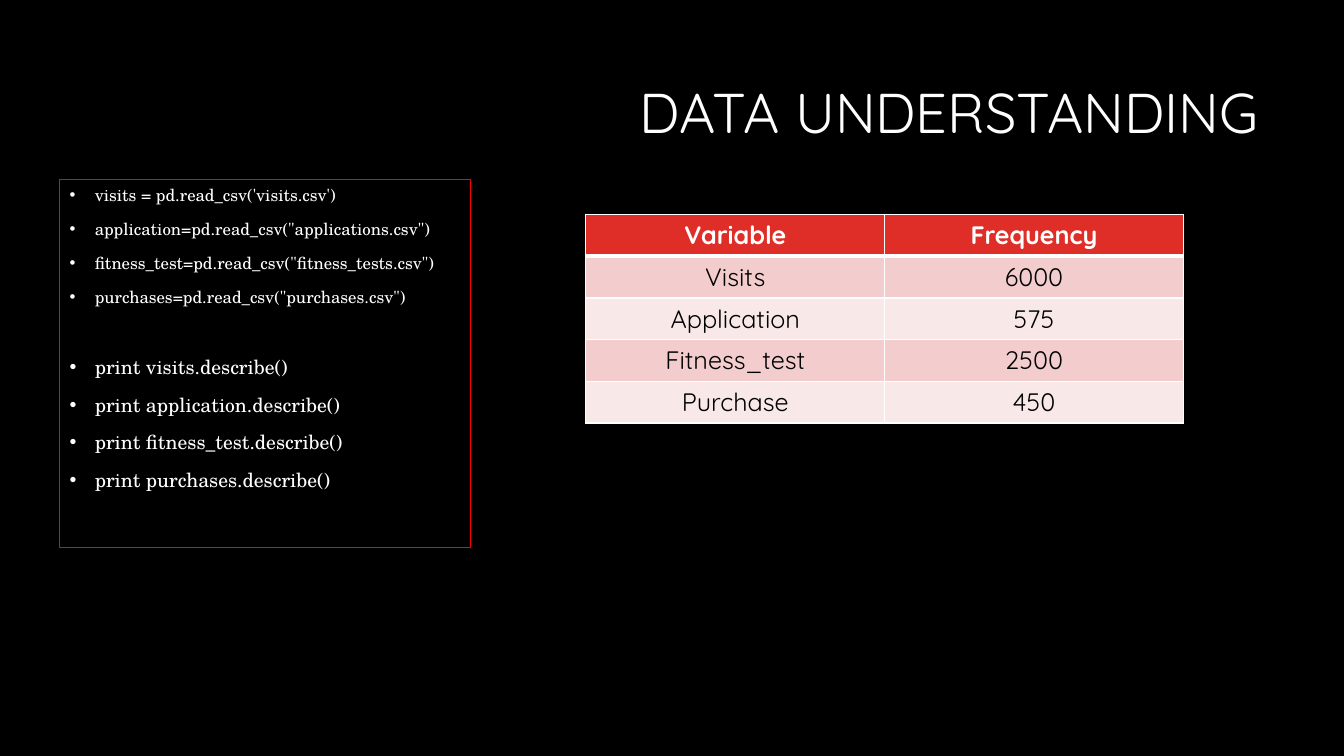
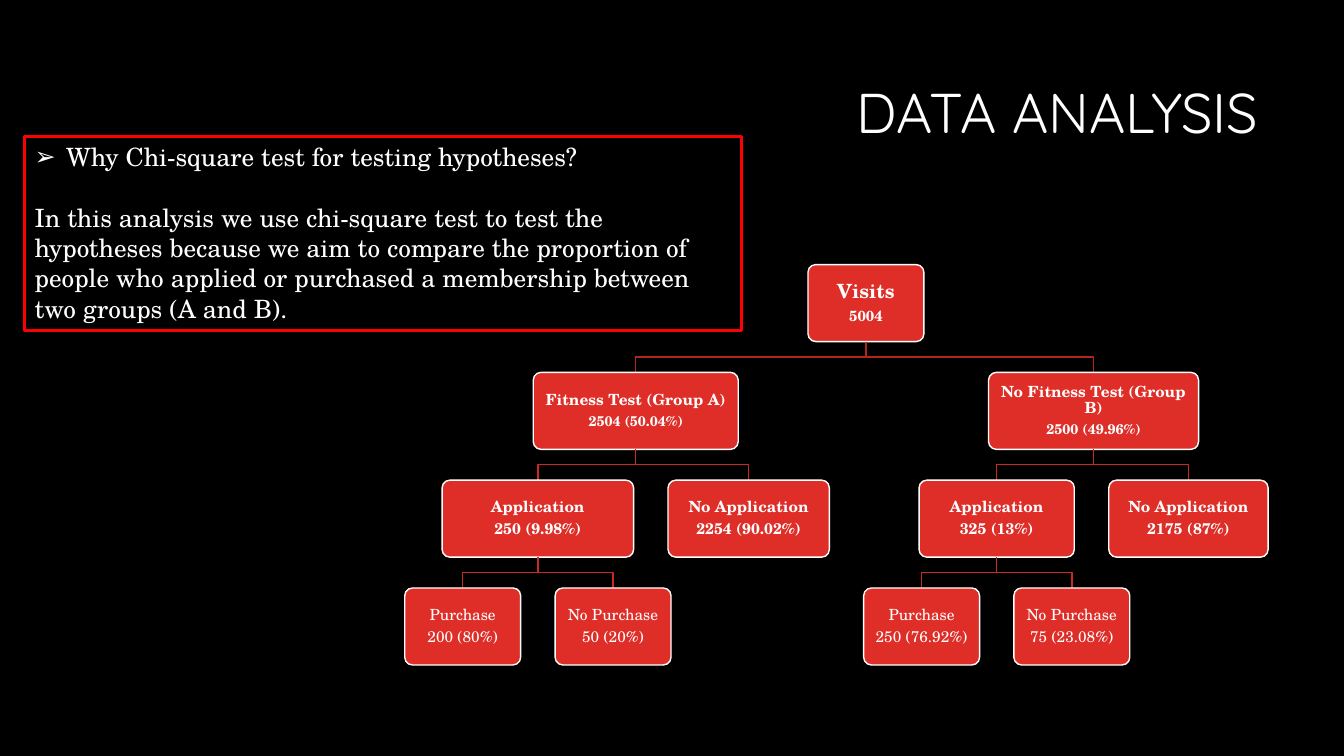
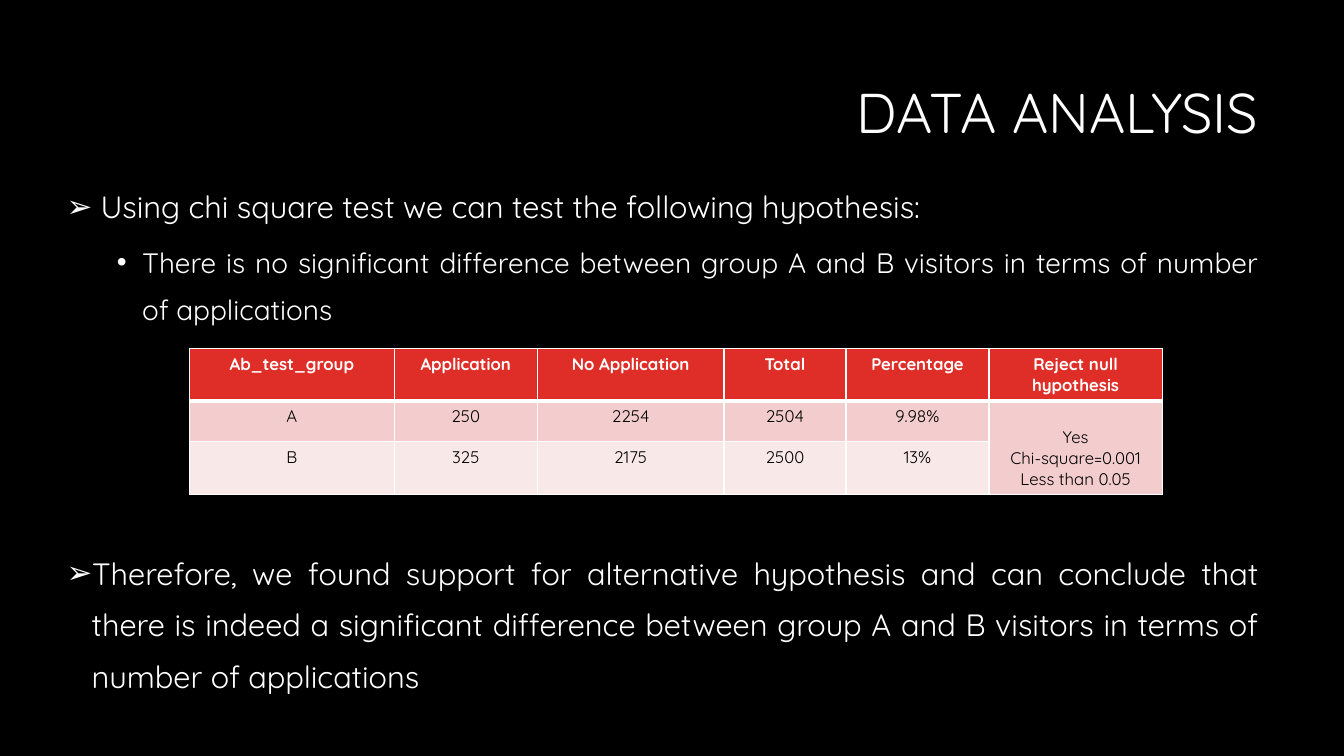
from dataclasses import dataclass

from lxml import etree
from pptx import Presentation
from pptx.dml.color import RGBColor
from pptx.enum.shapes import MSO_SHAPE
from pptx.enum.text import MSO_ANCHOR, MSO_AUTO_SIZE, PP_ALIGN
from pptx.oxml.ns import qn
from pptx.util import Pt

LEFT, CENTER, RIGHT, JUSTIFY = PP_ALIGN.LEFT, PP_ALIGN.CENTER, PP_ALIGN.RIGHT, PP_ALIGN.JUSTIFY
TOP, MIDDLE = MSO_ANCHOR.TOP, MSO_ANCHOR.MIDDLE
NO_FIT, GROW = MSO_AUTO_SIZE.NONE, MSO_AUTO_SIZE.SHAPE_TO_FIT_TEXT
RECTANGLE, ROUNDED = MSO_SHAPE.RECTANGLE, MSO_SHAPE.ROUNDED_RECTANGLE

BLACK = RGBColor(0x00, 0x00, 0x00)
WHITE = RGBColor(0xFF, 0xFF, 0xFF)
FRAME_RED = RGBColor(0xFF, 0x00, 0x00)
ACCENT = RGBColor(0xDF, 0x2E, 0x28)
BRANCH_DARK = RGBColor(0xB3, 0x25, 0x20)
BRANCH = RGBColor(0xCA, 0x2A, 0x24)
ROW_FILLS = (RGBColor(0xF3, 0xCD, 0xCD), RGBColor(0xF9, 0xE8, 0xE8))

SANS, SERIF = "Quicksand", "TeX Gyre Schola"
DOT, ARROW = "•", "➢"
CONTENT_LAYOUT, TITLE_LAYOUT = 1, 5

TREE_TOP, LEVEL_PITCH, NODE_HEIGHT = 189, 77, 55


@dataclass(frozen=True)
class Item:
    text: str
    size: float
    bullet: str = ""
    margin: float = 18
    hanging: float = 18
    before: float = 0
    level: int = 0


@dataclass(frozen=True)
class TreeLevel:
    label_size: float
    value_size: float
    bold: bool
    branch_color: RGBColor


@dataclass(frozen=True)
class Node:
    """A box of the tree; a parent is centred over its children."""
    label: str
    value: str
    width: float
    leaf_left: float = 0
    children: tuple["Node", ...] = ()

    @property
    def left(self) -> float:
        if not self.children:
            return self.leaf_left
        first, last = self.children[0], self.children[-1]
        return (first.left + last.left + last.width - self.width) / 2

    @property
    def center(self) -> float:
        return self.left + self.width / 2


TREE_LEVELS = (
    TreeLevel(14, 10.5, True, BRANCH_DARK),
    TreeLevel(11, 10, True, BRANCH),
    TreeLevel(11, 11, True, BRANCH),
    TreeLevel(11, 11, False, BRANCH),
)

VISIT_TREE = Node("Visits", "5004", 82.8, children=(
    Node("Fitness Test (Group A)", "2504 (50.04%)", 146.4, children=(
        Node("Application", "250 (9.98%)", 136.8, children=(
            Node("Purchase", "200 (80%)", 82.8, 289.1),
            Node("No Purchase", "50 (20%)", 82.8, 396.5))),
        Node("No Application", "2254 (90.02%)", 115.2, 477.2))),
    Node("No Fitness Test (Group B)", "2500 (49.96%)", 150, children=(
        Node("Application", "325 (13%)", 110.9, children=(
            Node("Purchase", "250 (76.92%)", 82.8, 616.9),
            Node("No Purchase", "75 (23.08%)", 82.8, 724.2))),
        Node("No Application", "2175 (87%)", 113.8, 792))),
))

READ_CALLS = (
    "visits = pd.read_csv('visits.csv')",
    'application=pd.read_csv("applications.csv")',
    'fitness_test=pd.read_csv("fitness_tests.csv")',
    'purchases=pd.read_csv("purchases.csv")',
)
DESCRIBE_CALLS = tuple(
    f"print {name}.describe()" for name in ("visits", "application", "fitness_test", "purchases"))


def place(shape, left: float, top: float, width: float, height: float) -> None:
    shape.left, shape.top, shape.width, shape.height = map(Pt, (left, top, width, height))


def style_runs(paragraph, font_name: str, size: float, color: RGBColor, bold: bool = False) -> None:
    for run in paragraph.runs:
        font = run.font
        font.name, font.size, font.bold = font_name, Pt(size), bold
        font.color.rgb = color


def add_titled_slide(prs, layout_index: int, title: str):
    slide = prs.slides.add_slide(prs.slide_layouts[layout_index])
    heading = slide.shapes.title
    place(heading, 186.8, 31.7, 719.3, 101.5)
    frame = heading.text_frame
    frame.text = title
    frame.vertical_anchor, frame.auto_size = MIDDLE, NO_FIT
    paragraph = frame.paragraphs[0]
    paragraph.alignment, paragraph.line_spacing = RIGHT, 0.9
    style_runs(paragraph, SANS, 40, WHITE)
    return slide


def set_bullet(paragraph, item: Item) -> None:
    properties = paragraph._p.get_or_add_pPr()
    properties.set("marL", str(Pt(item.margin)))
    properties.set("indent", str(-Pt(item.hanging)))
    etree.SubElement(properties, qn("a:buFont"), typeface="Arial")
    etree.SubElement(properties, qn("a:buChar"), char=item.bullet)


def write_items(frame, items: list[Item], font_name: str, alignment, spacing: float = 1.0) -> None:
    frame.text = "\n".join(item.text for item in items)
    frame.word_wrap, frame.vertical_anchor = True, TOP
    for paragraph, item in zip(frame.paragraphs, items):
        paragraph.level, paragraph.alignment = item.level, alignment
        paragraph.line_spacing = spacing
        paragraph.space_before, paragraph.space_after = Pt(item.before), Pt(0)
        if item.bullet:
            set_bullet(paragraph, item)
        style_runs(paragraph, font_name, item.size, WHITE)


def set_cell_borders(cell, top: float, bottom: float) -> None:
    properties = cell._tc.get_or_add_tcPr()
    for side, width in (("L", 1), ("R", 1), ("T", top), ("B", bottom)):
        line = etree.SubElement(properties, qn(f"a:ln{side}"), w=str(Pt(width)))
        fill = etree.SubElement(line, qn("a:solidFill"))
        etree.SubElement(fill, qn("a:srgbClr"), val=str(WHITE))


def add_data_table(slide, left: float, top: float, widths: list[float], heights: list[float],
                   rows: list[tuple[str, ...]], size: float):
    table = slide.shapes.add_table(len(rows), len(widths), Pt(left), Pt(top),
                                   Pt(sum(widths)), Pt(sum(heights))).table
    for column, width in zip(table.columns, widths):
        column.width = Pt(width)
    for row_index, (row, height, texts) in enumerate(zip(table.rows, heights, rows)):
        row.height = Pt(height)
        is_header = row_index == 0
        for cell, text in zip(row.cells, texts):
            set_cell_borders(cell, 3 if row_index == 1 else 1, 3 if is_header else 1)
            cell.fill.solid()
            cell.fill.fore_color.rgb = ACCENT if is_header else ROW_FILLS[(row_index - 1) % 2]
            cell.text = text
            for paragraph in cell.text_frame.paragraphs:
                paragraph.alignment = CENTER
                style_runs(paragraph, SANS, size, WHITE if is_header else BLACK, is_header)
    return table


def add_branch(slide, parent: Node, child: Node, bottom: float, color: RGBColor) -> None:
    child_top = bottom + LEVEL_PITCH - NODE_HEIGHT
    bend = (bottom + child_top) / 2
    corners = [(parent.center, bend), (child.center, bend), (child.center, child_top)]
    builder = slide.shapes.build_freeform(Pt(parent.center), Pt(bottom))
    builder.add_line_segments([(Pt(x), Pt(y)) for x, y in corners], close=False)
    branch = builder.convert_to_shape()
    branch.fill.background()
    branch.line.color.rgb, branch.line.width = color, Pt(1)
    branch.shadow.inherit = False


def add_tree(slide, node: Node, depth: int = 0) -> None:
    level = TREE_LEVELS[depth]
    top = TREE_TOP + depth * LEVEL_PITCH
    box = slide.shapes.add_shape(ROUNDED, Pt(node.left), Pt(top), Pt(node.width), Pt(NODE_HEIGHT))
    box.adjustments[0] = 0.1
    box.shadow.inherit = False
    box.fill.solid()
    box.fill.fore_color.rgb = ACCENT
    box.line.color.rgb, box.line.width = WHITE, Pt(1)
    frame = box.text_frame
    frame.text = f"{node.label}\n{node.value}"
    frame.word_wrap, frame.vertical_anchor = True, MIDDLE
    frame.margin_left = frame.margin_right = frame.margin_top = frame.margin_bottom = Pt(3.6)
    for paragraph, size in zip(frame.paragraphs, (level.label_size, level.value_size)):
        paragraph.alignment, paragraph.line_spacing = CENTER, 0.9
        paragraph.space_after = Pt(0.35 * size)
        style_runs(paragraph, SERIF, size, WHITE, level.bold)
    for child in node.children:
        add_branch(slide, node, child, top + NODE_HEIGHT, level.branch_color)
        add_tree(slide, child, depth + 1)


def build_understanding(prs) -> None:
    slide = add_titled_slide(prs, CONTENT_LAYOUT, "DATA UNDERSTANDING")
    code = slide.placeholders[1]
    place(code, 42.5, 128, 293.8, 263.2)
    code.line.color.rgb, code.line.width = FRAME_RED, Pt(0.75)
    items = [Item(call, 12, DOT, before=10) for call in READ_CALLS]
    items += [Item(call, 14, DOT, before=10 if index else 34.4)
              for index, call in enumerate(DESCRIBE_CALLS)]
    write_items(code.text_frame, items, SERIF, LEFT)
    code.text_frame.auto_size = NO_FIT
    rows = [("Variable", "Frequency"), ("Visits", "6000"), ("Application", "575"),
            ("Fitness_test", "2500"), ("Purchase", "450")]
    add_data_table(slide, 418.5, 153.2, [213.4] * 2, [29.5] * len(rows), rows, 18)


def build_visit_analysis(prs) -> None:
    slide = add_titled_slide(prs, TITLE_LAYOUT, "DATA ANALYSIS")
    add_tree(slide, VISIT_TREE)
    reason = slide.shapes.add_shape(RECTANGLE, Pt(17.7), Pt(97.7), Pt(512), Pt(138.2))
    reason.shadow.inherit = False
    reason.fill.background()
    reason.line.color.rgb, reason.line.width = FRAME_RED, Pt(2.25)
    write_items(reason.text_frame, [
        Item("Why Chi-square test for testing hypotheses?", 18, ARROW, 22.5, 22.5),
        Item("In this analysis we use chi-square test to test the hypotheses because we aim to "
             "compare the proportion of people who applied or purchased a membership between "
             "two groups (A and B).", 18, before=21.6),
    ], SERIF, LEFT)
    reason.text_frame.auto_size = GROW


def build_hypothesis_analysis(prs) -> None:
    slide = add_titled_slide(prs, CONTENT_LAYOUT, "DATA ANALYSIS")
    hypothesis = slide.placeholders[1]
    place(hypothesis, 40.3, 120.2, 866, 397.4)
    write_items(hypothesis.text_frame, [
        Item(" Using chi square test we can test the following hypothesis:", 22, ARROW,
             before=10),
        Item("There is no significant difference between group A and B visitors in terms of "
             "number of applications", 20, DOT, margin=54, before=5, level=1),
        Item("Therefore, we found support for alternative hypothesis and can conclude that "
             "there is indeed a significant difference between group A and B visitors in terms "
             "of number of applications", 22, ARROW, before=152.5),
    ], SANS, JUSTIFY, 1.4)
    hypothesis.text_frame.auto_size = NO_FIT
    rows = [
        ("Ab_test_group", "Application", "No Application", "Total", "Percentage",
         "Reject null hypothesis"),
        ("A", "250", "2254", "2504", "9.98%", "Yes\nChi-square=0.001\nLess than 0.05"),
        ("B", "325", "2175", "2500", "13%"),
    ]
    table = add_data_table(slide, 135.4, 249, [146.2, 102.2, 133.4, 87.1, 102.2, 123.8],
                           [37.2, 29.3, 38], rows, 12)
    verdict = table.cell(1, 5)
    verdict.merge(table.cell(2, 5))
    verdict.margin_top = Pt(18.6)


def main() -> None:
    prs = Presentation()
    prs.slide_width, prs.slide_height = Pt(960), Pt(540)
    background = prs.slide_master.background.fill
    background.solid()
    background.fore_color.rgb = BLACK
    build_understanding(prs)
    build_visit_analysis(prs)
    build_hypothesis_analysis(prs)
    prs.save("out.pptx")


if __name__ == "__main__":
    main()
